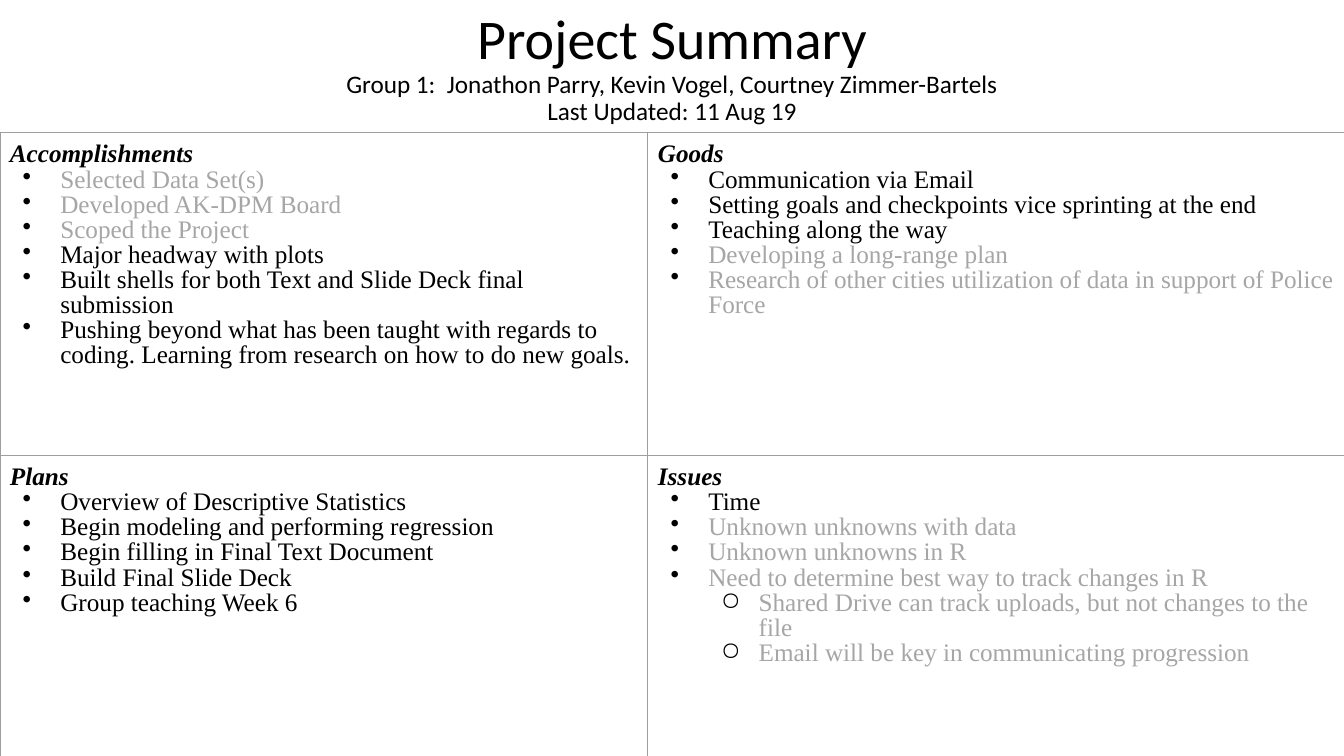
from lxml.etree import SubElement
from pptx import Presentation
from pptx.dml.color import RGBColor
from pptx.enum.text import MSO_ANCHOR, MSO_AUTO_SIZE, PP_ALIGN
from pptx.oxml import parse_xml
from pptx.oxml.ns import nsdecls, qn
from pptx.util import Cm, Pt

BLACK = RGBColor(0x00, 0x00, 0x00)
GREY = RGBColor(0xA6, 0xA6, 0xA6)
BORDER = RGBColor(0x9E, 0x9E, 0x9E)

HEADLINE = [
    ("Project Summary", 40),
    ("Group 1:  Jonathon Parry, Kevin Vogel, Courtney Zimmer-Bartels", 18),
    ("Last Updated: 11 Aug 19", 18),
]
QUADRANTS = [
    [
        ("Accomplishments", [
            ("Selected Data Set(s)", GREY, 0),
            ("Developed AK-DPM Board", GREY, 0),
            ("Scoped the Project", GREY, 0),
            ("Major headway with plots", BLACK, 0),
            ("Built shells for both Text and Slide Deck final submission", BLACK, 0),
            ("Pushing beyond what has been taught with regards to coding. "
             "Learning from research on how to do new goals.", BLACK, 0),
        ]),
        ("Goods", [
            ("Communication via Email", BLACK, 0),
            ("Setting goals and checkpoints vice sprinting at the end", BLACK, 0),
            ("Teaching along the way", BLACK, 0),
            ("Developing a long-range plan", GREY, 0),
            ("Research of other cities utilization of data in support of Police Force",
             GREY, 0),
        ]),
    ],
    [
        ("Plans", [
            ("Overview of Descriptive Statistics", BLACK, 0),
            ("Begin modeling and performing regression", BLACK, 0),
            ("Begin filling in Final Text Document", BLACK, 0),
            ("Build Final Slide Deck", BLACK, 0),
            ("Group teaching Week 6", BLACK, 0),
        ]),
        ("Issues", [
            ("Time", BLACK, 0),
            ("Unknown unknowns with data", GREY, 0),
            ("Unknown unknowns in R", GREY, 0),
            ("Need to determine best way to track changes in R", GREY, 0),
            ("Shared Drive can track uploads, but not changes to the file", GREY, 1),
            ("Email will be key in communicating progression", GREY, 1),
        ]),
    ],
]

SLIDE_SIZE = {"slide_width": Cm(33.87), "slide_height": Cm(19.05)}
TITLE_BOX = {"left": Cm(2.33), "top": Cm(0.1), "width": Cm(29.21), "height": Cm(3.25)}
TITLE_FRAME = {"word_wrap": True, "auto_size": MSO_AUTO_SIZE.NONE,
               "vertical_anchor": MSO_ANCHOR.MIDDLE}
TITLE_PARAGRAPH = {"alignment": PP_ALIGN.CENTER, "line_spacing": 0.9}
CELL_MARGINS = {f"margin_{side}": Cm(0.25) for side in ("left", "right", "top", "bottom")}
HEADING_FONT = {"name": "Times New Roman", "size": Pt(18), "bold": True, "italic": True}
ITEM_FONT = {**HEADING_FONT, "bold": False, "italic": False}
TABLE_TOP = Cm(3.35)
COLUMN_WIDTHS = [Cm(16.33), Cm(17.54)]
ROW_HEIGHTS = [Cm(8.13), Cm(7.57)]
INDENT_STEP, HANGING = Cm(1.27), Cm(0.95)
BULLETS = "•○"


def apply(target, values):
    for attribute, value in values.items():
        setattr(target, attribute, value)


def add_run(paragraph, text, font, color):
    run = paragraph.add_run()
    run.text = text
    apply(run.font, font)
    run.font.color.rgb = color


def add_bullet(paragraph, level):
    paragraph.level = level
    properties = paragraph._p.get_or_add_pPr()
    properties.set("marL", str(INDENT_STEP * (level + 1)))
    properties.set("indent", str(-HANGING))
    bullet_color = SubElement(properties, qn("a:buClr"))
    SubElement(bullet_color, qn("a:srgbClr"), val=str(BLACK))
    SubElement(properties, qn("a:buChar"), char=BULLETS[level])


def add_borders(cell):
    properties = cell._tc.get_or_add_tcPr()
    for position, side in enumerate("LRTB"):
        properties.insert(position, parse_xml(
            f'<a:ln{side} {nsdecls("a")} w="{Pt(0.75)}"><a:solidFill>'
            f'<a:srgbClr val="{BORDER}"/></a:solidFill></a:ln{side}>'))


def fill_quadrant(cell, heading, items):
    apply(cell, CELL_MARGINS)
    cell.fill.background()
    add_borders(cell)
    first = cell.text_frame.paragraphs[0]
    first.line_spacing = 0.9
    add_run(first, heading, HEADING_FONT, BLACK)
    for text, color, level in items:
        paragraph = cell.text_frame.add_paragraph()
        paragraph.line_spacing = 0.9
        add_bullet(paragraph, level)
        add_run(paragraph, text, ITEM_FONT, color)


def main():
    deck = Presentation()
    apply(deck, SLIDE_SIZE)
    slide = deck.slides.add_slide(deck.slide_layouts[5])

    title = slide.shapes.title
    apply(title, TITLE_BOX)
    apply(title.text_frame, TITLE_FRAME)
    headline = title.text_frame.paragraphs[0]
    apply(headline, TITLE_PARAGRAPH)
    for number, (text, size) in enumerate(HEADLINE):
        if number:
            headline.add_line_break()
        add_run(headline, text, {"name": "Calibri", "size": Pt(size)}, BLACK)

    summary = slide.shapes.add_table(
        len(QUADRANTS), len(QUADRANTS[0]), 0, TABLE_TOP,
        sum(COLUMN_WIDTHS), sum(ROW_HEIGHTS)).table
    apply(summary, {"first_row": False, "horz_banding": False})
    for column, width in zip(summary.columns, COLUMN_WIDTHS):
        column.width = width
    for row, height, quadrants in zip(summary.rows, ROW_HEIGHTS, QUADRANTS):
        row.height = height
        for cell, (heading, items) in zip(row.cells, quadrants):
            fill_quadrant(cell, heading, items)

    deck.save("out.pptx")


if __name__ == "__main__":
    main()
